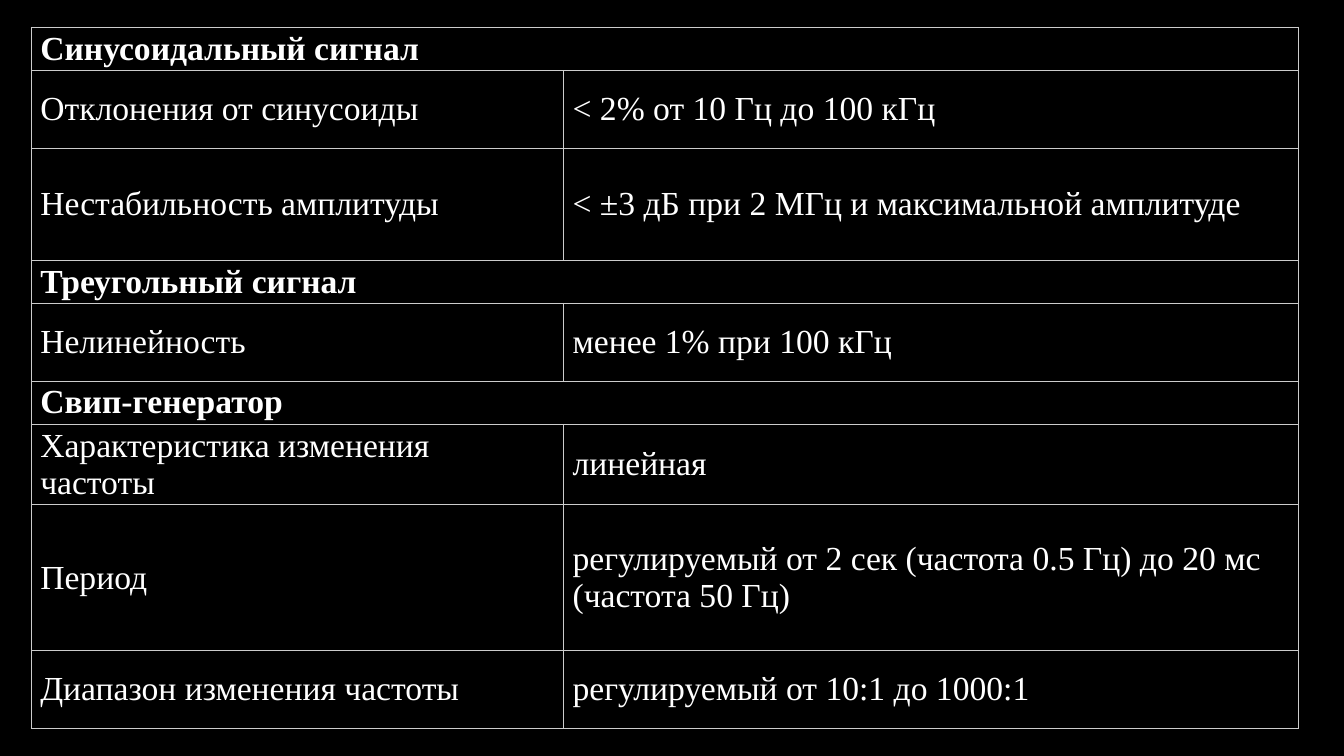
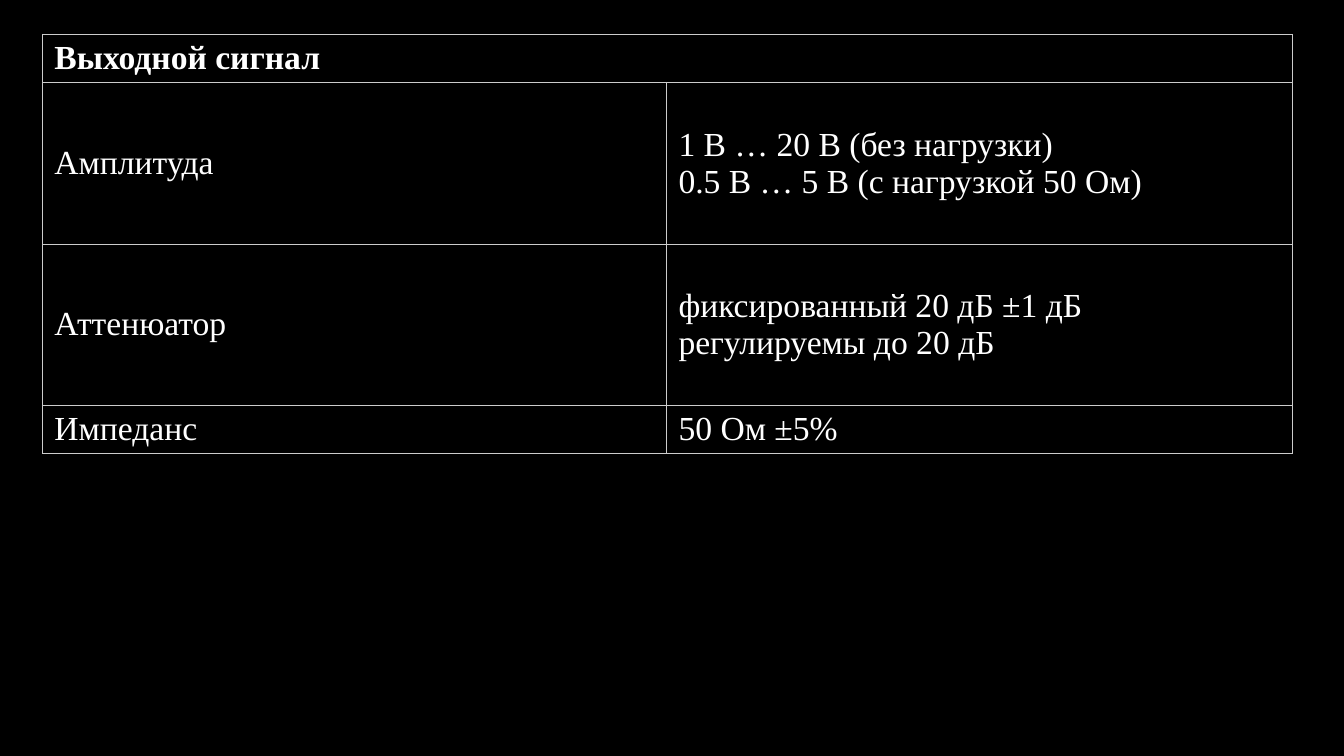
from lxml.etree import SubElement
from pptx import Presentation
from pptx.dml.color import RGBColor
from pptx.enum.text import MSO_ANCHOR
from pptx.oxml.ns import qn
from pptx.util import Inches, Pt

BLACK = RGBColor(0x00, 0x00, 0x00)
WHITE = RGBColor(0xFF, 0xFF, 0xFF)
GREY = RGBColor(0xCC, 0xCC, 0xCC)
FONT = "Times New Roman"

# Rows hold a height and texts; a single text is a heading across both columns
SIGNALS = [
    (0.43, "Синусоидальный сигнал"),
    (0.77, "Отклонения от синусоиды", "< 2% от 10 Гц до 100 кГц"),
    (1.11, "Нестабильность амплитуды", "< ±3 дБ при 2 МГц и максимальной амплитуде"),
    (0.43, "Треугольный сигнал"),
    (0.77, "Нелинейность", "менее 1% при 100 кГц"),
    (0.43, "Свип-генератор"),
    (0.77, "Характеристика изменения частоты", "линейная"),
    (1.45, "Период", "регулируемый от 2 сек (частота 0.5 Гц) до 20 мс (частота 50 Гц)"),
    (0.77, "Диапазон изменения частоты", "регулируемый от 10:1 до 1000:1"),
]
OUTPUT = [
    (0.48, "Выходной сигнал"),
    (1.6, "Амплитуда", "1 В … 20 В (без нагрузки)\n0.5 В … 5 В (с нагрузкой 50 Ом)"),
    (1.6, "Аттенюатор", "фиксированный 20 дБ ±1 дБ\nрегулируемы до 20 дБ"),
    (0.48, "Импеданс", "50 Ом ±5%"),
]

# Left, top, column widths, cell insets (left, right, top and bottom), rows
TABLES = [
    (0.31, 0.27, (5.28, 7.29), (0.09, 0.3, 0.03), SIGNALS),
    (0.42, 0.34, (6.19, 6.21), (0.12, 0.42, 0.04), OUTPUT),
]


def style(cell, inset, bold):
    """Give a cell its borders, fill, insets and font."""
    props = cell._tc.get_or_add_tcPr()
    for side in ("a:lnL", "a:lnR", "a:lnT", "a:lnB"):
        line = SubElement(props, qn(side), w=str(Pt(0.6)))
        fill = SubElement(line, qn("a:solidFill"))
        SubElement(fill, qn("a:srgbClr"), val=str(GREY))
    cell.fill.solid()
    cell.fill.fore_color.rgb = BLACK
    left, right, edge = inset
    cell.margin_left = Inches(left)
    cell.margin_right = Inches(right)
    cell.margin_top = cell.margin_bottom = Inches(edge)
    cell.vertical_anchor = MSO_ANCHOR.MIDDLE
    for para in cell.text_frame.paragraphs:
        para.font.name = FONT
        para.font.size = Pt(24)
        para.font.bold = bold
        para.font.color.rgb = WHITE


deck = Presentation()
deck.slide_width = Inches(13.33)
deck.slide_height = Inches(7.5)

# Shared black background
back = deck.slide_master.background.fill
back.solid()
back.fore_color.rgb = BLACK

# One table on each slide
for left, top, widths, inset, rows in TABLES:
    slide = deck.slides.add_slide(deck.slide_layouts[6])
    height = sum(row[0] for row in rows)
    table = slide.shapes.add_table(
        len(rows), len(widths), Inches(left), Inches(top),
        Inches(sum(widths)), Inches(height)).table
    table.first_row = False
    table.horz_banding = False
    for col, width in zip(table.columns, widths):
        col.width = Inches(width)

    for r, (tall, *texts) in enumerate(rows):
        table.rows[r].height = Inches(tall)
        head = len(texts) == 1
        for c, text in enumerate(texts):
            table.cell(r, c).text = text
        for c in range(len(widths)):
            style(table.cell(r, c), inset, head)
        if head:
            table.cell(r, 0).merge(table.cell(r, 1))

deck.save("out.pptx")
